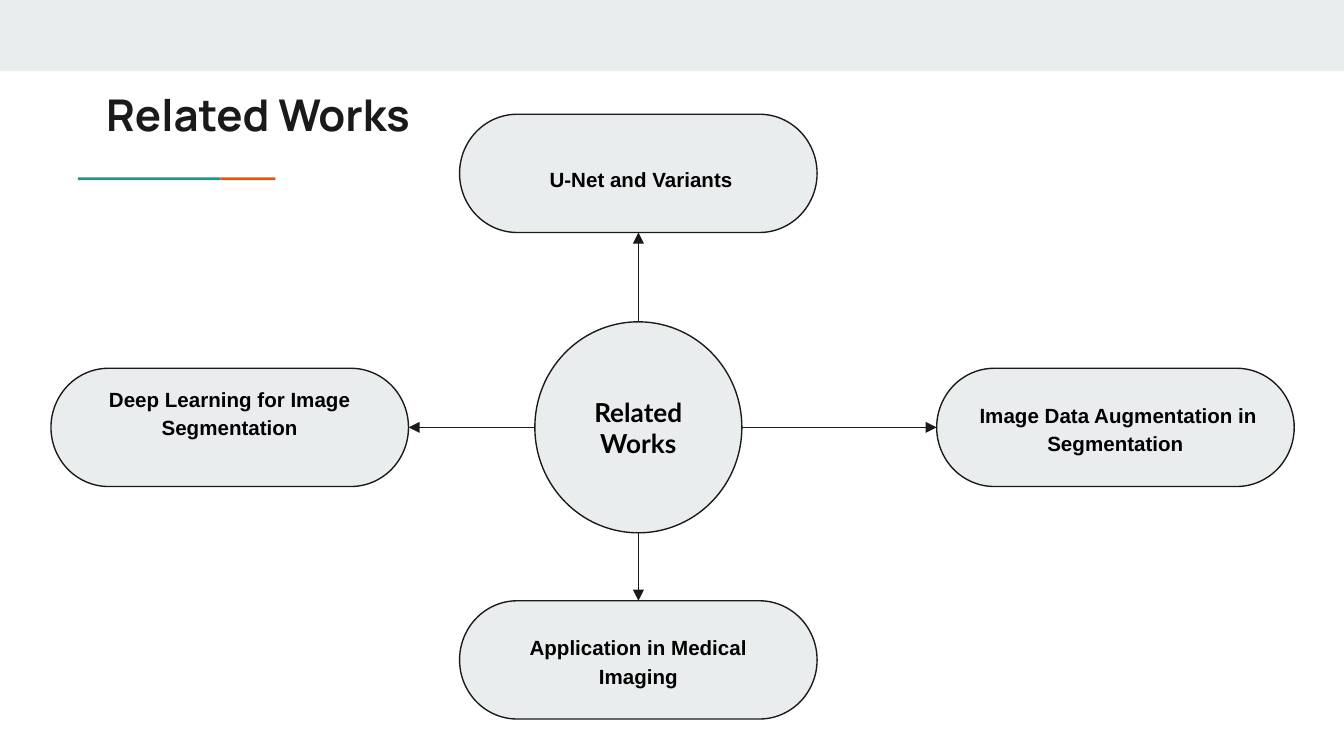
from dataclasses import dataclass

import pptx
import pptx.dml.color
import pptx.enum.shapes
import pptx.enum.text
import pptx.oxml
import pptx.oxml.ns
import pptx.util

Inches = pptx.util.Inches
Pt = pptx.util.Pt
Kind = pptx.enum.shapes.MSO_SHAPE
Align = pptx.enum.text.PP_ALIGN
Anchor = pptx.enum.text.MSO_ANCHOR

COLORS = {"pale": "E9EDEE", "ink": "1A1A1A", "text": "000000",
          "teal": "1A9988", "orange": "EB5600"}
WIDTH = 10
HUB_X, HUB_Y = 4.75, 3.18
HUB_W, HUB_H = 1.54, 1.57
PILL_W, PILL_H = 2.66, 0.88


@dataclass
class Topic:
    text: str
    x: float  # centre
    y: float
    side: int  # side of the pill that faces the hub
    lines: float = 1.15
    foot: float = 0.1  # bottom inset


@dataclass
class Bar:
    left: float
    top: float
    width: float
    height: float
    color: str


TOPICS = [
    Topic(" U-Net and Variants", HUB_X, 1.29, 2, lines=1.5),
    Topic("Application in Medical Imaging", HUB_X, 4.91, 0),
    Topic("Deep Learning for Image Segmentation", 1.71, HUB_Y, 3, foot=0.34),
    Topic(" Image Data Augmentation in Segmentation", 8.3, HUB_Y, 1),
]
BARS = [
    Bar(0, 0, WIDTH, 0.53, "pale"),
    Bar(1.64, 1.32, 0.41, 0.02, "orange"),
    Bar(0.58, 1.32, 1.06, 0.02, "teal"),
]


def rgb(name: str) -> pptx.dml.color.RGBColor:
    return pptx.dml.color.RGBColor.from_string(COLORS[name])


def inset(frame, foot: float = 0.1) -> None:
    frame.margin_left = frame.margin_right = frame.margin_top = Inches(0.1)
    frame.margin_bottom = Inches(foot)
    frame.word_wrap = True


def style(para, face: str, size: float, color: str) -> None:
    para.font.name = face
    para.font.size = Pt(size)
    para.font.bold = True
    para.font.color.rgb = rgb(color)


def add_bar(slide, bar: Bar) -> None:
    shape = slide.shapes.add_shape(
        Kind.RECTANGLE, Inches(bar.left), Inches(bar.top),
        Inches(bar.width), Inches(bar.height))
    shape.shadow.inherit = False
    shape.fill.solid()
    shape.fill.fore_color.rgb = rgb(bar.color)
    shape.line.fill.background()


def add_node(slide, kind, x: float, y: float, width: float, height: float,
             text: str, face: str, size: float, foot: float = 0.1):
    """Add an outlined shape centred on x, y."""
    node = slide.shapes.add_shape(
        kind, Inches(x - width / 2), Inches(y - height / 2),
        Inches(width), Inches(height))
    node.shadow.inherit = False
    node.fill.solid()
    node.fill.fore_color.rgb = rgb("pale")
    node.line.color.rgb = rgb("ink")
    node.line.width = Pt(0.75)
    frame = node.text_frame
    inset(frame, foot)
    frame.vertical_anchor = Anchor.MIDDLE
    para = frame.paragraphs[0]
    para.text = text
    para.alignment = Align.CENTER
    style(para, face, size, "text")
    return node


def add_pill(slide, topic: Topic):
    pill = add_node(slide, Kind.FLOWCHART_TERMINATOR, topic.x, topic.y,
                    PILL_W, PILL_H, topic.text, "Arial", 11, topic.foot)
    para = pill.text_frame.paragraphs[0]
    para.line_spacing = topic.lines
    para.space_before = Pt(12)
    para.space_after = Pt(2)
    return pill


def add_arrow(slide, topic: Topic, pill) -> None:
    """Draw an arrow from the hub's rim to the pill."""
    dx = (topic.x > HUB_X) - (topic.x < HUB_X)
    dy = (topic.y > HUB_Y) - (topic.y < HUB_Y)
    x = Inches(HUB_X + dx * HUB_W / 2)
    y = Inches(HUB_Y + dy * HUB_H / 2)
    arrow = slide.shapes.add_connector(
        pptx.enum.shapes.MSO_CONNECTOR.STRAIGHT, x, y, x, y)
    arrow.end_connect(pill, topic.side)
    arrow.line.color.rgb = rgb("ink")
    arrow.line.width = Pt(0.75)
    tail = pptx.oxml.parse_xml(
        f'<a:tailEnd {pptx.oxml.ns.nsdecls("a")} type="triangle"/>')
    arrow.line._get_or_add_ln().append(tail)
    arrow._element.spPr.append(pptx.oxml.parse_xml(
        f'<a:effectLst {pptx.oxml.ns.nsdecls("a")}/>'))


def add_title(slide, text: str) -> None:
    title = slide.shapes.title
    title.left, title.top = Inches(0.69), Inches(0.55)
    title.width, title.height = Inches(8.41), Inches(0.59)
    frame = title.text_frame
    inset(frame)
    frame.auto_size = pptx.enum.text.MSO_AUTO_SIZE.NONE
    frame.vertical_anchor = Anchor.TOP
    para = frame.paragraphs[0]
    para.text = text
    para.alignment = Align.LEFT
    style(para, "Manrope", 23.4, "ink")


def main() -> None:
    deck = pptx.Presentation()
    deck.slide_width = Inches(WIDTH)
    deck.slide_height = Inches(WIDTH * 9 / 16)
    slide = deck.slides.add_slide(deck.slide_layouts[5])

    # Top band and title accent
    for bar in BARS:
        add_bar(slide, bar)

    # Hub, topics and arrows
    add_node(slide, Kind.OVAL, HUB_X, HUB_Y, HUB_W, HUB_H,
             "Related Works", "Lato", 14)
    pills = [add_pill(slide, topic) for topic in TOPICS]
    for topic, pill in zip(TOPICS, pills):
        add_arrow(slide, topic, pill)

    add_title(slide, "Related Works")
    deck.save("out.pptx")


if __name__ == "__main__":
    main()
